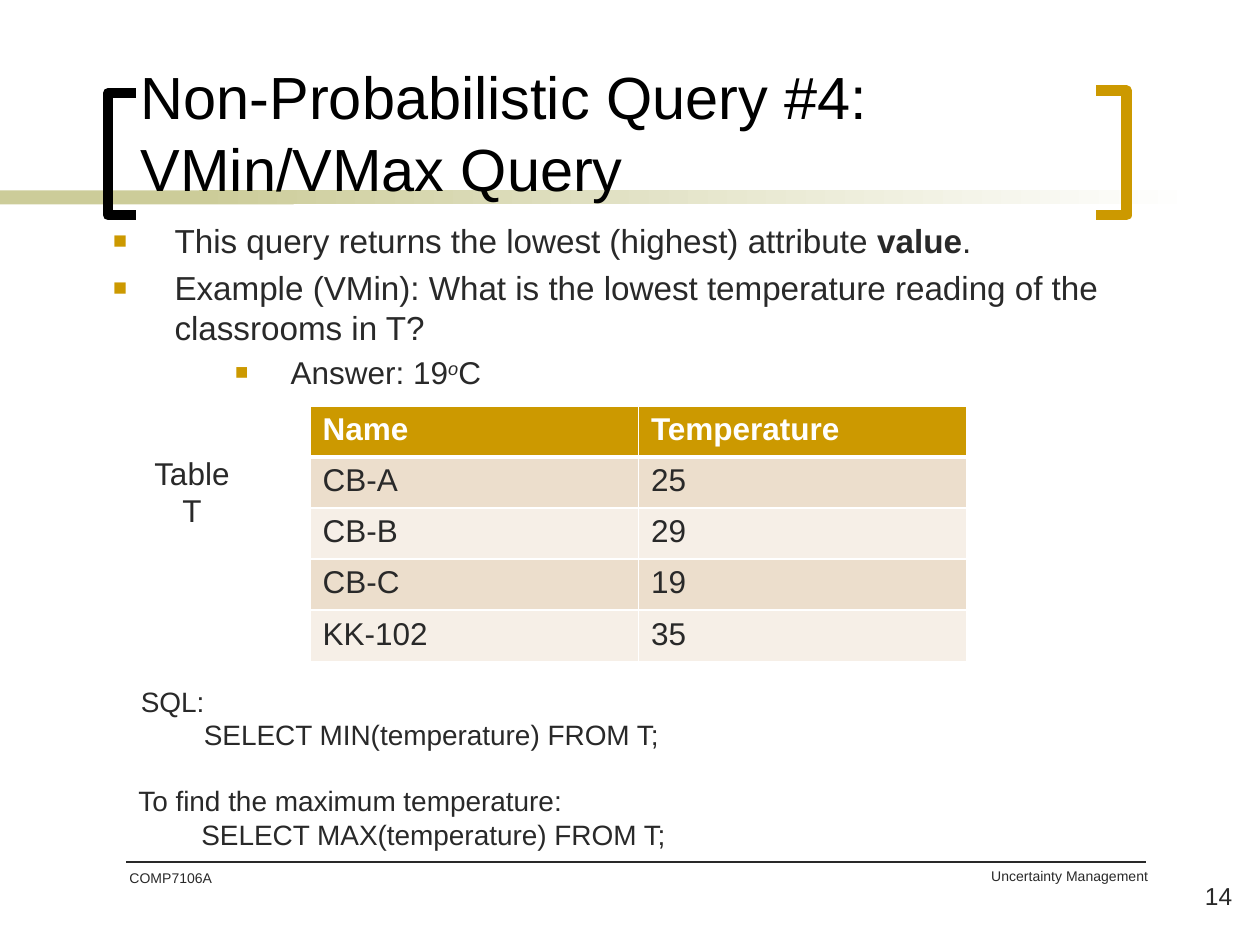
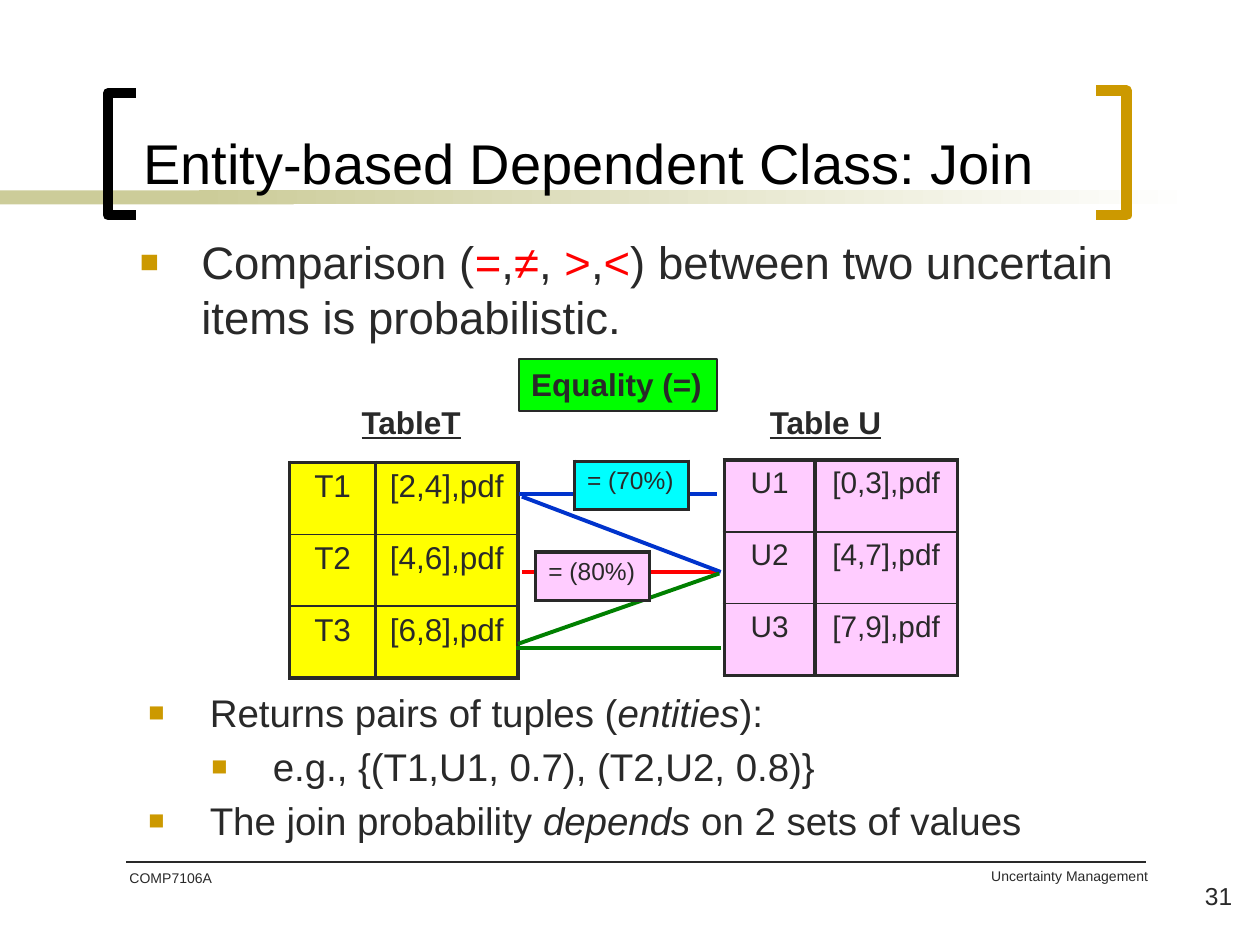
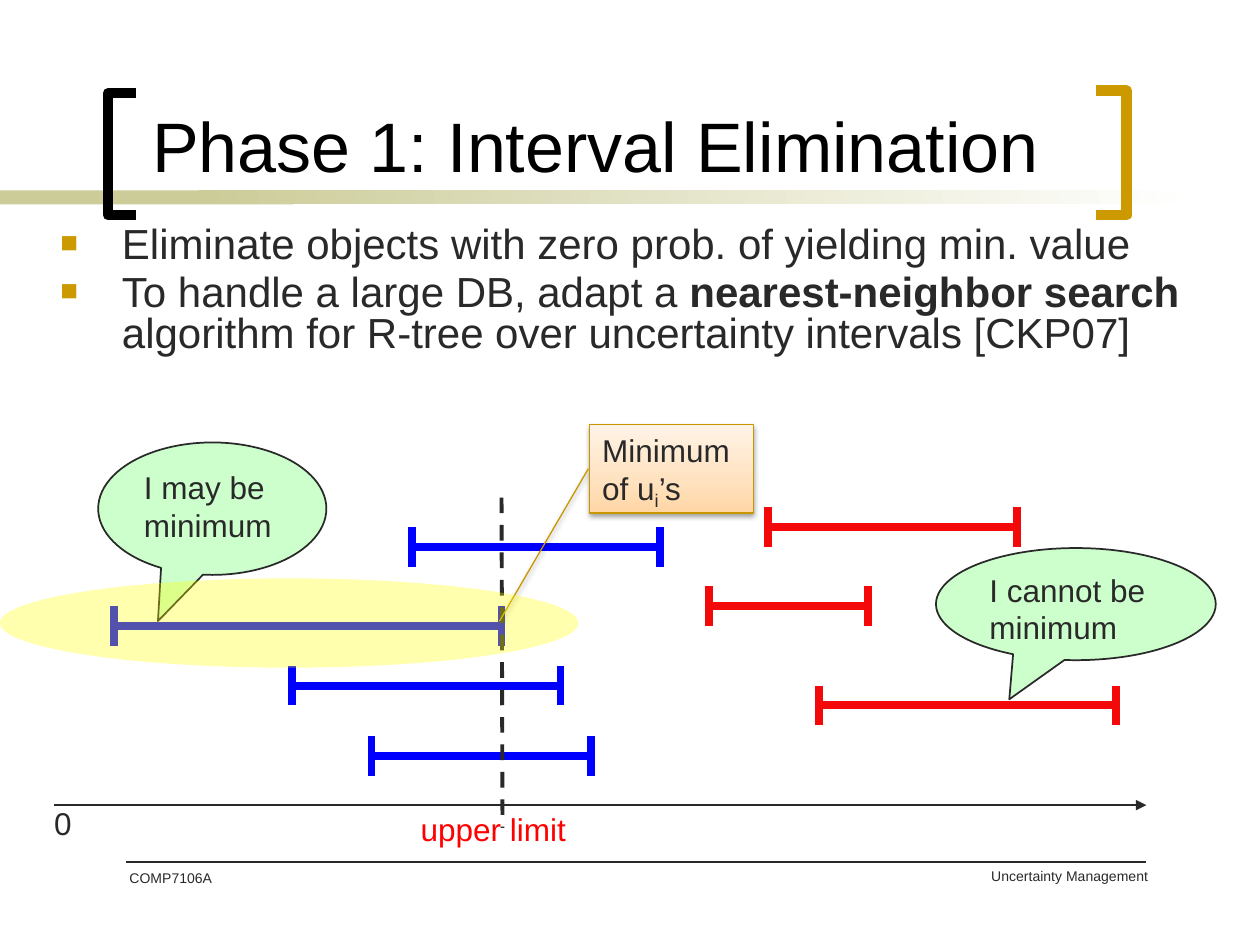
from dataclasses import dataclass

from lxml.etree import SubElement
from pptx import Presentation
from pptx.dml.color import RGBColor
from pptx.enum.dml import MSO_LINE
from pptx.enum.shapes import MSO_CONNECTOR, MSO_SHAPE
from pptx.enum.text import MSO_ANCHOR, MSO_AUTO_SIZE, PP_ALIGN
from pptx.oxml import parse_xml
from pptx.oxml.ns import nsdecls, qn
from pptx.util import Cm, Pt

FONT = "Arial"
COLOURS = {
    "ink": "292929", "black": "000000", "white": "FFFFFF", "gold": "CC9900",
    "olive": "CCCC99", "sand": "ECDECC", "cream": "F6EFE7", "red": "FF0000",
    "scarlet": "F30909", "royal": "0033CC", "blue": "0000FF", "green": "008000",
    "lime": "00FF00", "mint": "CCFFCC", "yellow": "FFFF00", "pink": "FFCCFF",
    "cyan": "00FFFF", "amber": "C89600", "peach": "FFD6A5", "apricot": "FFE2BF",
    "ivory": "FFF3E7",
}


@dataclass
class Line:
    spans: object
    indent: float = 0
    hanging: float = 0
    size: float = 0


def rgb(name):
    return RGBColor.from_string(COLOURS[name])


def bullet(line, indent=1.24, hanging=1.24, size=0):
    return Line(line, indent, hanging, size)


def style(font, size=None, colour=None, bold=None, italic=None, underline=None):
    if size:
        font.size = Pt(size)
    if colour:
        font.color.rgb = rgb(colour)
    if bold is not None:
        font.bold = bold
    if italic is not None:
        font.italic = italic
    if underline is not None:
        font.underline = underline


def add_bullet(properties):
    colour = SubElement(properties, qn("a:buClr"))
    SubElement(colour, qn("a:srgbClr"), val=COLOURS["gold"])
    SubElement(properties, qn("a:buSzPct"), val="70000")
    SubElement(properties, qn("a:buFont"), typeface=FONT)
    SubElement(properties, qn("a:buChar"), char="■")


def add_span(para, text, baseline=None, **look):
    if text == "\n":
        para.add_line_break()
        return
    span = para.add_run()
    span.text = text
    style(span.font, **look)
    if baseline:
        span._r.get_or_add_rPr().set("baseline", str(baseline * 1000))


def write(frame, lines, size=18, colour="ink", align=PP_ALIGN.LEFT, spacing=None, **look):
    for index, line in enumerate(lines):
        if not isinstance(line, Line):
            line = Line(line)
        para = frame.add_paragraph() if index else frame.paragraphs[0]
        para.alignment = align
        line_size = line.size or size
        if spacing:
            para.line_spacing = spacing
        if line.hanging and index:
            para.space_before = Pt(round(line_size * 0.2, 1))
        properties = para._p.get_or_add_pPr()
        if line.indent:
            properties.set("marL", str(Cm(line.indent)))
            properties.set("indent", str(-Cm(line.hanging)))
        if line.hanging:
            add_bullet(properties)
        para.font.name = FONT
        style(para.font, line_size, colour, **look)
        spans = [(line.spans, {})] if isinstance(line.spans, str) else line.spans
        for text, span_look in spans:
            add_span(para, text, **span_look)


def add_text(page, at, lines, wrap=True, anchor=MSO_ANCHOR.TOP, **look):
    box = page.shapes.add_textbox(*map(Cm, at))
    frame = box.text_frame
    frame.word_wrap = wrap
    if not wrap:
        frame.auto_size = MSO_AUTO_SIZE.SHAPE_TO_FIT_TEXT
    frame.vertical_anchor = anchor
    write(frame, lines, **look)
    return box


def add_shape(page, kind, at, fill=None, line=None, line_width=1, adjustments=()):
    shape = page.shapes.add_shape(kind, *map(Cm, at))
    for index, value in enumerate(adjustments):
        shape.adjustments[index] = value
    shape.shadow.inherit = False
    if fill:
        shape.fill.solid()
        shape.fill.fore_color.rgb = rgb(fill)
    else:
        shape.fill.background()
    if line:
        shape.line.color.rgb = rgb(line)
        shape.line.width = Pt(line_width)
    else:
        shape.line.fill.background()
    frame = shape.text_frame
    frame.word_wrap = True
    frame.vertical_anchor = MSO_ANCHOR.TOP
    return shape


def add_gradient(shape, stops, angle):
    marks = "".join(
        f'<a:gs pos="{place * 1000}"><a:srgbClr val="{COLOURS[colour]}"/></a:gs>'
        for place, colour in stops)
    gradient = parse_xml(
        f'<a:gradFill {nsdecls("a")} rotWithShape="1"><a:gsLst>{marks}</a:gsLst>'
        f'<a:lin ang="{angle * 60000}" scaled="0"/></a:gradFill>')
    properties = shape._element.spPr
    properties.replace(properties.find(qn("a:noFill")), gradient)


def add_drop_shadow(shape):
    effects = shape._element.spPr.find(qn("a:effectLst"))
    effects.append(parse_xml(
        f'<a:outerShdw {nsdecls("a")} blurRad="40000" dist="20000" dir="5400000" rotWithShape="0">'
        f'<a:srgbClr val="{COLOURS["black"]}"><a:alpha val="38000"/></a:srgbClr></a:outerShdw>'))


def add_line(shapes, start, end, colour="ink", width=1.0, dash=None, arrow=False):
    line = shapes.add_connector(MSO_CONNECTOR.STRAIGHT, *map(Cm, (*start, *end)))
    line.line.color.rgb = rgb(colour)
    line.line.width = Pt(width)
    if dash:
        line.line.dash_style = dash
    properties = line._element.spPr
    if arrow:
        SubElement(properties.find(qn("a:ln")), qn("a:tailEnd"), type="triangle")
    SubElement(properties, qn("a:effectLst"))


def add_bracket(page, points, colour):
    corners = [(Cm(x), Cm(y)) for x, y in points]
    builder = page.shapes.build_freeform(*corners[0])
    builder.add_line_segments(corners[1:], close=False)
    bracket = builder.convert_to_shape()
    bracket.shadow.inherit = False
    bracket.fill.background()
    bracket.line.color.rgb = rgb(colour)
    bracket.line.width = Pt(6)


def add_border(cell, side, width, colour):
    line = SubElement(cell._tc.get_or_add_tcPr(), qn(f"a:ln{side}"), w=str(Pt(width)))
    fill = SubElement(line, qn("a:solidFill"))
    SubElement(fill, qn("a:srgbClr"), val=COLOURS[colour])


def add_table(page, left, top, widths, height, rows, fills, rules, upright,
              border="ink", header=False, size=18, align=PP_ALIGN.LEFT):
    frame = page.shapes.add_table(len(rows), len(widths), Cm(left), Cm(top),
                                  Cm(sum(widths)), Cm(height * len(rows)))
    table = frame.table
    table.first_row = header
    table.horz_banding = False
    for column, width in zip(table.columns, widths):
        column.width = Cm(width)
    for row_index, texts in enumerate(rows):
        table.rows[row_index].height = Cm(height)
        heading = header and row_index == 0
        look = {"colour": "white" if heading else "ink", "bold": heading}
        for column_index, text in enumerate(texts):
            cell = table.cell(row_index, column_index)
            sides = {"L": upright, "R": upright, "T": rules[row_index], "B": rules[row_index + 1]}
            for side, width in sides.items():
                add_border(cell, side, width, border)
            cell.fill.solid()
            cell.fill.fore_color.rgb = rgb(fills[row_index])
            write(cell.text_frame, [[(text, look)]], size=size, align=align)


def add_interval(page, left, right, middle, colour):
    shapes = page.shapes.add_group_shape().shapes
    for x in (left, right):
        add_line(shapes, (x, middle - 0.4), (x, middle + 0.4), colour, 4.5)
    add_line(shapes, (left, middle), (right, middle), colour, 4.5)


def add_speech(page, at, text):
    speech = add_shape(page, MSO_SHAPE.OVAL_CALLOUT, at, "mint", "ink", adjustments=(-0.238, 0.849))
    write(speech.text_frame, [text])


def add_page(deck, title, title_at, title_size, number=None):
    page = deck.slides.add_slide(deck.slide_layouts[6])
    add_shape(page, MSO_SHAPE.RECTANGLE, (0, 3.84, 5.92, 0.28), "olive")
    band = add_shape(page, MSO_SHAPE.RECTANGLE, (4.01, 3.84, 20.12, 0.28))
    add_gradient(band, [(0, "olive"), (100, "white")], 0)
    add_bracket(page, [(2.74, 4.34), (2.18, 4.34), (2.18, 1.88), (2.74, 1.88)], "black")
    add_bracket(page, [(22.1, 1.83), (22.71, 1.83), (22.71, 4.34), (22.1, 4.34)], "gold")
    add_text(page, (12.88, 17.37, 10.52, 1.27), ["Uncertainty Management"],
             size=8, align=PP_ALIGN.RIGHT)
    add_line(page.shapes, (2.54, 17.37), (23.11, 17.37))
    add_text(page, (2.36, 17.4, 2.97, 1.27), ["COMP7106A"], size=8)
    if number:
        add_text(page, (23.19, 17.63, 1.9, 1.27), [number], size=14, align=PP_ALIGN.RIGHT)
    add_text(page, title_at, [title], anchor=MSO_ANCHOR.BOTTOM, size=title_size, colour="black")
    return page


def add_query_page(deck):
    title = [("Non-Probabilistic Query #4: ", {}), ("\n", {}), ("VMin/VMax Query", {})]
    page = add_page(deck, title, (2.59, 0.28, 19.89, 3.94), 34, "14")
    add_text(page, (2.03, 4.32, 20.37, 3.56), [
        bullet([("This query returns the lowest (highest) attribute ", {}),
                ("value", {"bold": True}), (".", {})]),
        bullet("Example (VMin): What is the lowest temperature reading of the classrooms in T?"),
        bullet([("Answer: 19", {}), ("o", {"italic": True, "baseline": 30}), ("C", {})],
               3.58, 1.12, 18),
    ], size=19)
    readings = [("Name", "Temperature"), ("CB-A", "25"), ("CB-B", "29"),
                ("CB-C", "19"), ("KK-102", "35")]
    add_table(page, 6.25, 8.18, [6.62, 6.62], 1.03, readings,
              ["gold", "sand", "cream", "sand", "cream"], [1, 3, 1, 1, 1, 1], 1,
              border="white", header=True)
    add_text(page, (2.84, 9.02, 2.06, 1.8), ["Table", "T"], wrap=False, align=PP_ALIGN.CENTER)
    for left, top, label, function in (
            (2.59, 13.67, "SQL:", "MIN"),
            (2.54, 15.67, "To find the maximum temperature:", "MAX")):
        query = Line(f"SELECT {function}(temperature) FROM T;", indent=1.27)
        add_text(page, (left, top, 19.48, 1.63), [label, query], size=16)


def add_join_page(deck):
    page = add_page(deck, "Entity-based Dependent Class: Join", (2.64, 0.13, 21.62, 3.94), 32, "31")
    red = {"colour": "red"}
    add_text(page, (2.57, 4.6, 21.29, 2.67), [bullet([
        ("Comparison (", {}), ("=", red), (",", {}), ("≠", {"colour": "red", "italic": True}),
        (", ", {}), (">", red), (",", {}), ("<", red),
        (") between two uncertain items is probabilistic.", {})])], size=26)
    for name, left, top, widths, fill, size, ranges in (
            ("T", 5.84, 9.32, [1.73, 2.87], "yellow", 18, ["[2,4]", "[4,6]", "[6,8]"]),
            ("U", 14.6, 9.27, [1.83, 2.87], "pink", 17, ["[0,3]", "[4,7]", "[7,9]"])):
        tuples = [(f"{name}{index}", f"{span},pdf") for index, span in enumerate(ranges, 1)]
        add_table(page, left, top, widths, 1.45, tuples, [fill] * 3, [2.25, 1, 1, 2.25], 2.25,
                  size=size, align=PP_ALIGN.CENTER)
    for start, end, colour in (
            ((10.52, 11.53), (14.45, 11.53), "red"),
            ((10.46, 9.96), (14.45, 9.96), "royal"),
            ((10.52, 10.01), (14.53, 11.53), "royal"),
            ((10.44, 12.98), (14.5, 11.56), "green"),
            ((10.41, 13.06), (14.53, 13.06), "green")):
        add_line(page.shapes, start, end, colour, 2.25)
    for left, top, text, fill in ((11.58, 9.3, "= (70%)", "cyan"), (10.8, 11.13, "= (80%)", "pink")):
        add_table(page, left, top, [2.3], 0.97, [(text,)], [fill], [2.25, 2.25], 2.25, size=14)
    for left, width, text in ((7.04, 2.72, "TableT"), (15.27, 2.77, "Table U")):
        add_text(page, (left, 8, width, 1.02), [text], wrap=False, bold=True, underline=True)
    equality = add_shape(page, MSO_SHAPE.RECTANGLE, (10.46, 7.24, 3.99, 1.04), "lime", "ink")
    equality.text_frame.word_wrap = False
    write(equality.text_frame, ["Equality (=)"], bold=True)
    italic = {"italic": True}
    add_text(page, (2.74, 13.77, 21.29, 3.66), [
        bullet([("Returns pairs of tuples (", {}), ("entities", italic), ("):", {})]),
        bullet("e.g., {(T1,U1, 0.7), (T2,U2, 0.8)}", 2.51),
        bullet([("The join probability ", {}), ("depends ", italic), ("on 2 sets of values", {})]),
    ], size=22)


def add_elimination_page(deck):
    page = add_page(deck, "Phase 1: Interval Elimination", (2.82, 1.35, 18.85, 2.54), 40)
    add_text(page, (0.97, 4.45, 23.75, 3.53), [
        bullet("Eliminate objects with zero prob. of yielding min. value"),
        bullet([("To handle a large DB, adapt a ", {}), ("nearest-neighbor search ", {"bold": True}),
                ("algorithm for R-tree over uncertainty intervals [CKP07]", {})]),
    ], size=24, spacing=0.8)
    for left, right, middle, colour in (
            (2.29, 10.11, 12.62, "blue"), (8.31, 13.31, 11.02, "blue"),
            (15.49, 20.5, 10.62, "scarlet"), (7.49, 11.91, 15.24, "blue"),
            (14.3, 17.5, 12.22, "scarlet"), (16.51, 22.5, 14.22, "scarlet"),
            (5.89, 11.3, 13.82, "blue")):
        add_interval(page, left, right, middle, colour)
    add_line(page.shapes, (1.09, 16.23), (23.11, 16.23), width=0.75, arrow=True)
    add_text(page, (0.84, 16.08, 0.86, 1.02), ["0"], wrap=False)
    add_speech(page, (1.98, 8.92, 4.6, 2.67), "I may be minimum")
    add_speech(page, (18.87, 11.05, 5.64, 2.26), "I cannot be minimum")
    add_line(page.shapes, (10.11, 10.03), (10.13, 16.69), width=2.25, dash=MSO_LINE.DASH)
    add_text(page, (8.23, 16.21, 3.48, 1.02), ["upper limit"], colour="red")
    limit = add_shape(page, MSO_SHAPE.LINE_CALLOUT_1, (11.89, 8.56, 3.3, 1.78), line="amber",
                      line_width=0.75, adjustments=(0.5, -0.009, 2.227, -0.552))
    add_gradient(limit, [(0, "peach"), (35, "apricot"), (100, "ivory")], 270)
    add_drop_shadow(limit)
    write(limit.text_frame, [[("Minimum of u", {}), ("i", {"baseline": -25}), ("’s", {})]])
    highlight = add_shape(page, MSO_SHAPE.OVAL, (0, 11.66, 11.66, 1.8), "yellow")
    tint = highlight._element.spPr.find(qn("a:solidFill")).find(qn("a:srgbClr"))
    SubElement(tint, qn("a:alpha"), val="32000")


def main():
    deck = Presentation()
    deck.slide_width = Cm(25.4)
    deck.slide_height = Cm(19.05)
    add_query_page(deck)
    add_join_page(deck)
    add_elimination_page(deck)
    deck.save("out.pptx")


if __name__ == "__main__":
    main()
